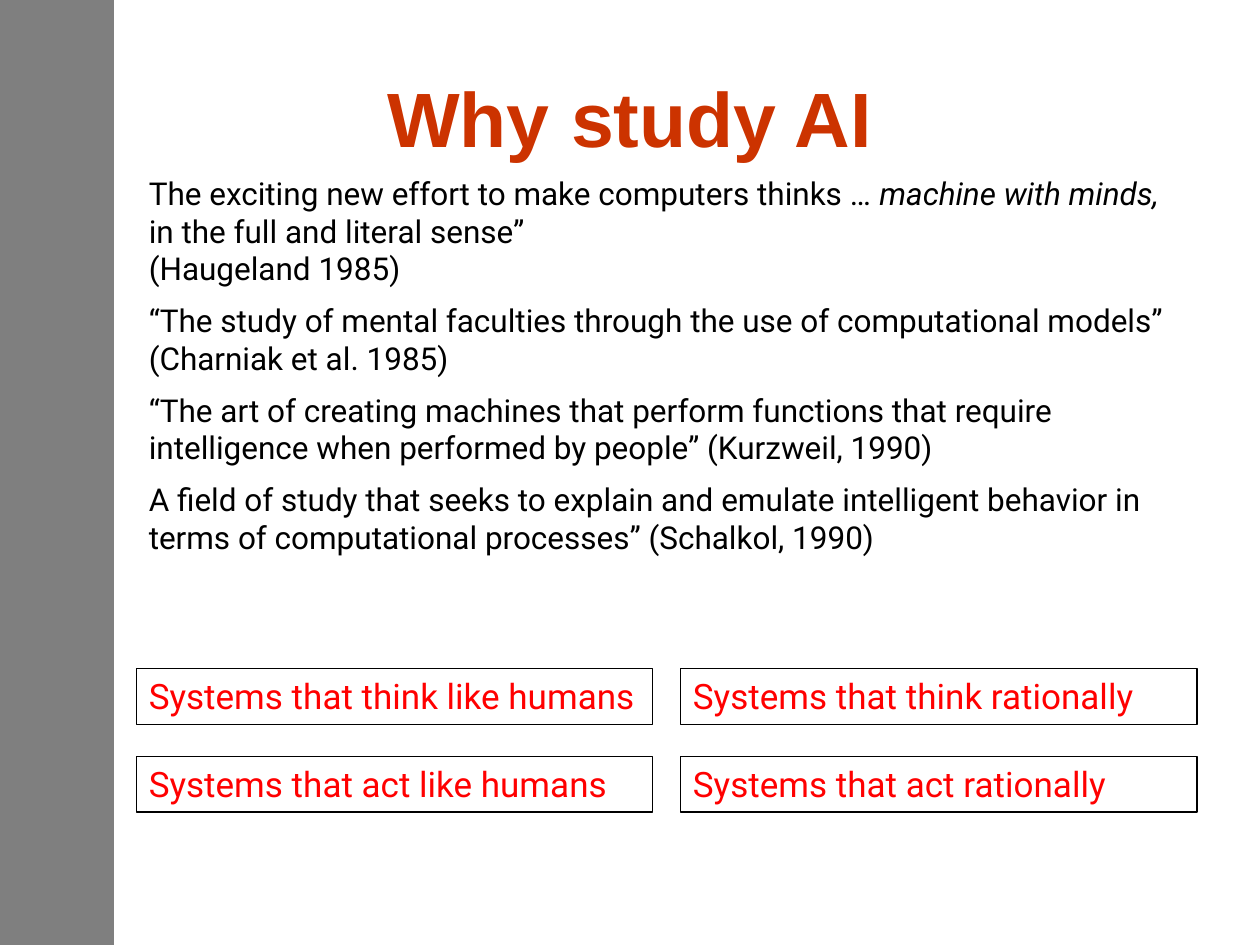
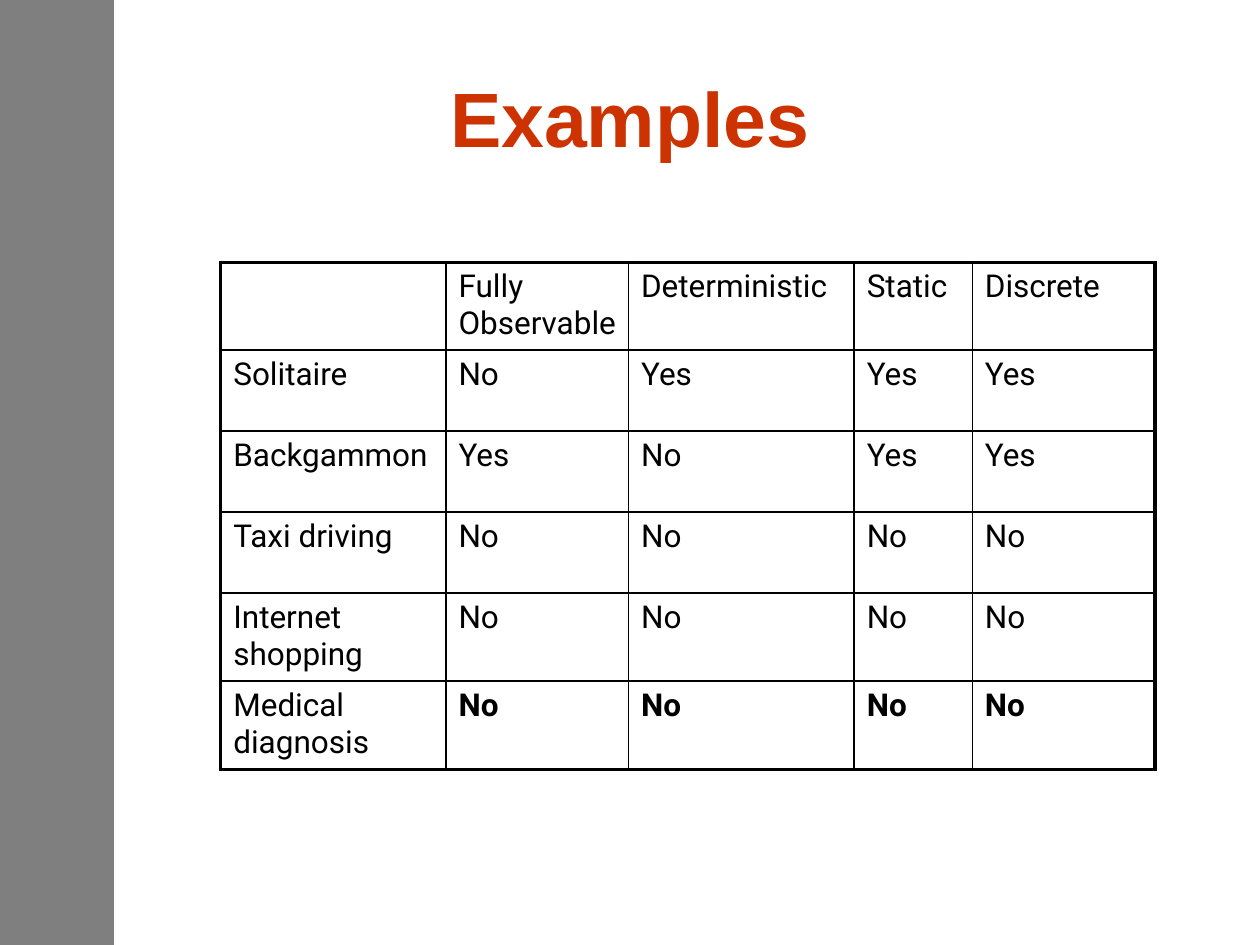
from dataclasses import dataclass

from lxml.etree import SubElement
from pptx import Presentation
from pptx.dml.color import RGBColor
from pptx.enum.shapes import MSO_SHAPE
from pptx.enum.text import MSO_ANCHOR, MSO_AUTO_SIZE, PP_ALIGN
from pptx.oxml import parse_xml
from pptx.oxml.ns import nsdecls, qn
from pptx.util import Cm, Pt


@dataclass(frozen=True)
class Theme:
    """Colours, fonts and type sizes shared by the slides."""
    ink: RGBColor = RGBColor(0x00, 0x00, 0x00)
    title: RGBColor = RGBColor(0xCC, 0x33, 0x00)
    accent: RGBColor = RGBColor(0xFF, 0x00, 0x00)
    title_font: str = "Arial"
    body_font: str = "Roboto"
    title_size: int = 44
    body_size: int = 18
    label_size: int = 20
    thin: float = 0.75
    grid: float = 1
    frame: float = 2.25


THEME = Theme()

# Content ------------------------------------------------------------------
# Each definition: width in cm, lines shown, paragraphs of (text, italic) spans
DEFINITIONS = [
    (21.39, 3, [
        [("The exciting new effort to make computers thinks … ", False),
         ("machine with minds,", True),
         (" in the full and literal sense” ", False)],
        [("(Haugeland 1985)", False)]]),
    (21.39, 2, [
        [("“The study of mental faculties through the use of "
          "computational models” ", False)],
        [("(Charniak et al. 1985)", False)]]),
    (22.02, 2, [
        [("“The art of creating machines that perform functions that require "
          "intelligence when performed by people” (Kurzweil, 1990)", False)]]),
    (21.39, 2, [
        [("A field of study that seeks to explain and emulate intelligent "
          "behavior in terms of computational processes” (Schalkol, 1990)",
          False)]]),
]
APPROACHES = [
    ("Systems that think like humans", "Systems that think rationally"),
    ("Systems that act like humans", "Systems that act rationally"),
]
ENVIRONMENTS = [
    ("", "Fully Observable", "Deterministic", "Static", "Discrete"),
    ("Solitaire", "No", "Yes", "Yes", "Yes"),
    ("Backgammon", "Yes", "No", "Yes", "Yes"),
    ("Taxi driving", "No", "No", "No", "No"),
    ("Internet shopping", "No", "No", "No", "No"),
    ("Medical diagnosis", "No", "No", "No", "No"),
]

# Layout, in cm --------------------------------------------------------------
PAGE_WIDTH, PAGE_HEIGHT = 25.4, 19.05
BAND_WIDTH = 2.3
TITLE_AREA = (1.27, 0.76, 22.86, 3.18)
TEXT_LEFT, TEXT_TOP = 2.75, 3.38
LINE_HEIGHT, TEXT_PADDING = 0.77, 0.26
LABEL_TOP, LABEL_WIDTH, LABEL_HEIGHT = 13.48, 10.41, 1.12
LABEL_PITCH_X, LABEL_PITCH_Y = 10.97, 1.77
TABLE_LEFT, TABLE_TOP = 4.45, 5.29
COLUMN_WIDTHS = [4.54, 3.68, 4.55, 2.38, 3.68]
ROW_HEIGHTS = [1.77, 1.63, 1.63, 1.63, 1.78, 1.78]
CELL_RIGHT_MARGIN = 0.2


def area(*lengths):
    """Turn lengths in cm into Cm values."""
    return [Cm(length) for length in lengths]


def add_span(para, text, size, color=THEME.ink, font=THEME.body_font,
             bold=False, italic=False):
    """Append one formatted run to a paragraph."""
    span = para.add_run()
    span.text = text
    span.font.name = font
    span.font.size = Pt(size)
    span.font.color.rgb = color
    span.font.bold = bold
    span.font.italic = italic


def add_master_band(deck, page):
    """Put the half-transparent side band on the slide master."""
    band = page.shapes.add_shape(
        MSO_SHAPE.RECTANGLE, *area(0, 0, BAND_WIDTH, PAGE_HEIGHT))
    band.shadow.inherit = False
    band.fill.solid()
    band.fill.fore_color.rgb = THEME.ink
    band.line.fill.background()
    color = band.element.spPr.find(qn("a:solidFill")).find(qn("a:srgbClr"))
    SubElement(color, qn("a:alpha")).set("val", "50000")
    deck.slide_master.shapes.element.insert(2, band.element)


def add_page(deck, heading):
    """Add a slide with its styled title."""
    page = deck.slides.add_slide(deck.slide_layouts.get_by_name("Title Only"))
    title = page.shapes.title
    title.left, title.top, title.width, title.height = area(*TITLE_AREA)
    frame = title.text_frame
    frame.auto_size = MSO_AUTO_SIZE.NONE
    frame.vertical_anchor = MSO_ANCHOR.MIDDLE
    para = frame.paragraphs[0]
    para.alignment = PP_ALIGN.CENTER
    add_span(para, heading, THEME.title_size, THEME.title,
             THEME.title_font, bold=True)
    return page


def add_definitions(page):
    """Stack the quoted definitions, each as tall as its lines."""
    top = TEXT_TOP
    for width, lines, paragraphs in DEFINITIONS:
        height = lines * LINE_HEIGHT + TEXT_PADDING
        box = page.shapes.add_textbox(*area(TEXT_LEFT, top, width, height))
        frame = box.text_frame
        frame.word_wrap = True
        frame.auto_size = MSO_AUTO_SIZE.SHAPE_TO_FIT_TEXT
        for index, spans in enumerate(paragraphs):
            para = frame.add_paragraph() if index else frame.paragraphs[0]
            for text, italic in spans:
                add_span(para, text, THEME.body_size, italic=italic)
        top += height


def add_approaches(page):
    """Draw the two-by-two grid of outlined labels."""
    for row, labels in enumerate(APPROACHES):
        for column, label in enumerate(labels):
            box = page.shapes.add_shape(MSO_SHAPE.RECTANGLE, *area(
                TEXT_LEFT + column * LABEL_PITCH_X,
                LABEL_TOP + row * LABEL_PITCH_Y, LABEL_WIDTH, LABEL_HEIGHT))
            box.shadow.inherit = False
            box.fill.background()
            box.line.color.rgb = THEME.ink
            box.line.width = Pt(THEME.thin)
            frame = box.text_frame
            frame.word_wrap = True
            frame.auto_size = MSO_AUTO_SIZE.SHAPE_TO_FIT_TEXT
            frame.vertical_anchor = MSO_ANCHOR.TOP
            para = frame.paragraphs[0]
            para.alignment = PP_ALIGN.LEFT
            add_span(para, label, THEME.label_size, THEME.accent)


def set_borders(cell, outer_sides):
    """Line a cell, heavier on the sides that frame the table."""
    properties = cell._tc.get_or_add_tcPr()
    for index, side in enumerate("LRTB"):
        width = THEME.frame if side in outer_sides else THEME.grid
        properties.insert(index, parse_xml(
            f'<a:ln{side} {nsdecls("a")} w="{Pt(width)}"><a:solidFill>'
            f'<a:srgbClr val="{THEME.ink}"/></a:solidFill></a:ln{side}>'))


def add_environments(page):
    """Build the table of environment properties."""
    last_row, last_column = len(ROW_HEIGHTS) - 1, len(COLUMN_WIDTHS) - 1
    table = page.shapes.add_table(
        len(ROW_HEIGHTS), len(COLUMN_WIDTHS),
        *area(TABLE_LEFT, TABLE_TOP,
              sum(COLUMN_WIDTHS), sum(ROW_HEIGHTS))).table
    table.first_row = table.horz_banding = False
    for column, width in zip(table.columns, COLUMN_WIDTHS):
        column.width = Cm(width)
    for row, height in zip(table.rows, ROW_HEIGHTS):
        row.height = Cm(height)
    for r, values in enumerate(ENVIRONMENTS):
        for c, value in enumerate(values):
            cell = table.cell(r, c)
            cell.margin_right = Cm(CELL_RIGHT_MARGIN)
            cell.fill.background()
            edges = {"L": c == 0, "R": c == last_column,
                     "T": r == 0, "B": r == last_row}
            set_borders(cell, [side for side in edges if edges[side]])
            if value:
                add_span(cell.text_frame.paragraphs[0], value,
                         THEME.body_size, bold=r == last_row and c > 0)


def build():
    """Assemble and save the deck."""
    deck = Presentation()
    deck.slide_width, deck.slide_height = area(PAGE_WIDTH, PAGE_HEIGHT)
    reasons = add_page(deck, "Why study AI")
    add_master_band(deck, reasons)
    add_definitions(reasons)
    add_approaches(reasons)
    add_environments(add_page(deck, "Examples"))
    deck.save("out.pptx")


build()
